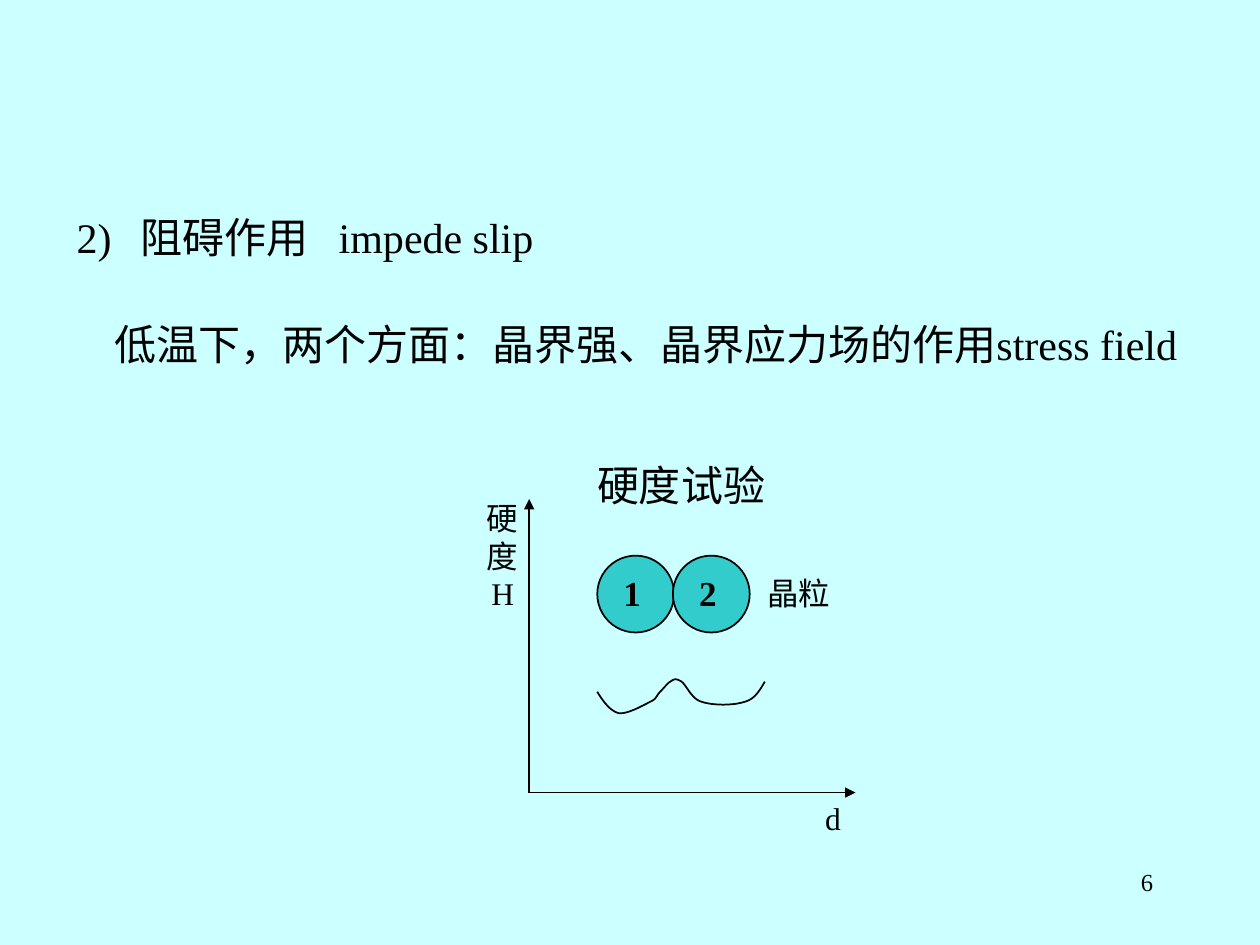
from lxml import etree
from pptx import Presentation
from pptx.dml.color import RGBColor
from pptx.enum.shapes import MSO_CONNECTOR, MSO_SHAPE
from pptx.enum.text import MSO_AUTO_SIZE, PP_ALIGN
from pptx.oxml.ns import qn
from pptx.util import Inches, Pt

LEFT, CENTER, RIGHT = PP_ALIGN.LEFT, PP_ALIGN.CENTER, PP_ALIGN.RIGHT
GROW, FIXED = MSO_AUTO_SIZE.SHAPE_TO_FIT_TEXT, MSO_AUTO_SIZE.NONE
OVAL, STRAIGHT = MSO_SHAPE.OVAL, MSO_CONNECTOR.STRAIGHT

COLORS = {"back": "CCFFFF", "ink": "000000", "grain": "33CCCC"}
FONT = "Times New Roman"
COLS, ROWS = 100, 75  # grid over the slide, cells of 0.1 inch

# Text formats
FORMATS = {
    "number": {"font": {"size": Pt(14)}, "para": {"alignment": RIGHT}},
    "body": {"font": {"size": Pt(24)},
             "para": {"line_spacing": 1.6, "space_before": Pt(15)}},
    "label": {"font": {"size": Pt(18)}, "para": {"space_before": Pt(11.2)}},
    "axis": {"font": {"size": Pt(18)},
             "para": {"space_before": Pt(11.2), "alignment": CENTER}},
    "grain": {"font": {"size": Pt(20), "bold": True},
              "para": {"space_before": Pt(12.5)}},
}

# Content: paragraphs, format, (left, top, width, height), wrap, autosize
POINTS = ["2)\t阻碍作用\timpede slip",
          "低温下，两个方面：晶界强、晶界应力场的作用stress field"]
POINT_TABS = (5.1, 20.8)   # columns after the box inset
POINT_INDENT = 3           # columns, second point
TEXTS = [
    (["6"], "number", (71.7, 68.3, 20.8, 5), True, FIXED),
    (["d"], "label", (64.5, 62.9, 5.4, 4), True, GROW),
    (["硬度H"], "axis", (37.4, 39.1, 5, 10), True, GROW),
    (["晶粒"], "label", (59.9, 45.1, 10.8, 4), True, GROW),
    (["硬度试验"], "body", (46.4, 33.6, 15.3, 7.4), False, GROW),
]
ORIGIN = (42, 62.9)
AXIS_ENDS = [(67.9, 62.9), (42, 39.6)]
GRAINS = ["1", "2"]
GRAIN_LEFT, GRAIN_TOP, GRAIN_STEP, GRAIN_SIZE = 47.4, 44.1, 6, 6.1
# Hardness curve: start, then Bezier segments (control, control, end)
CURVE_START = (60.7, 54.1)
CURVE = [
    ((60.3, 54.8), (59.9, 55.5), (59.1, 55.7)),
    ((58.2, 56), (56.6, 56), (55.7, 55.7)),
    ((54.9, 55.5), (54.5, 54.4), (54.1, 54.1)),
    ((53.6, 53.8), (53.5, 53.9), (53.2, 54.1)),
    ((53, 54.2), (52.7, 54.6), (52.4, 54.9)),
    ((52.1, 55.2), (52.1, 55.5), (51.6, 55.7)),
    ((51, 56), (49.8, 56.7), (49.1, 56.6)),
    ((48.4, 56.4), (47.9, 55.7), (47.4, 54.9)),
]
STEPS = 12

prs = Presentation()
prs.slide_width, prs.slide_height = Inches(10), Inches(7.5)
s = prs.slides.add_slide(prs.slide_layouts[6])


def color(name):
    return RGBColor.from_string(COLORS[name])


def x(col):
    return round(prs.slide_width * col / COLS)


def y(row):
    return round(prs.slide_height * row / ROWS)


def place(box):
    left, top, width, height = box
    return x(left), y(top), x(width), y(height)


def apply(target, values):
    for name, value in values.items():
        setattr(target, name, value)


def outline(sp):
    sp.line.color.rgb = color("ink")
    sp.line.width = Pt(1)


def add_text(paras, fmt, box, wrap=True, size=GROW):
    tf = s.shapes.add_textbox(*place(box)).text_frame
    apply(tf, {"word_wrap": wrap, "auto_size": size})
    for i, text in enumerate(paras):
        p = tf.add_paragraph() if i else tf.paragraphs[0]
        apply(p, FORMATS[fmt]["para"])
        r = p.add_run()
        r.text = text
        apply(r.font, {"name": FONT, **FORMATS[fmt]["font"]})
        r.font.color.rgb = color("ink")
    return tf


def bezier(a, b, c, d, t):
    u = 1 - t
    return tuple(u**3 * i + 3 * u * u * t * j + 3 * u * t * t * k + t**3 * m
                 for i, j, k, m in zip(a, b, c, d))


s.background.fill.solid()
s.background.fill.fore_color.rgb = color("back")

# Points, with tab stops and an indent for the gaps
first, second = add_text(POINTS, "body", (5.1, 13.9, 90.8, 15.9)).paragraphs
tabs = etree.SubElement(first._p.get_or_add_pPr(), qn("a:tabLst"))
for col in POINT_TABS:
    etree.SubElement(tabs, qn("a:tab"), pos=str(x(col)), algn="l")
second._p.get_or_add_pPr().set("marL", str(x(POINT_INDENT)))

# Axes
for end in AXIS_ENDS:
    axis = s.shapes.add_connector(STRAIGHT, x(ORIGIN[0]), y(ORIGIN[1]),
                                  x(end[0]), y(end[1]))
    outline(axis)
    etree.SubElement(axis.line._get_or_add_ln(), qn("a:tailEnd"), type="triangle")
    etree.SubElement(axis._element.spPr, qn("a:effectLst"))

# Grains
for i in range(len(GRAINS)):
    sp = s.shapes.add_shape(OVAL, *place((GRAIN_LEFT + i * GRAIN_STEP, GRAIN_TOP,
                                          GRAIN_SIZE, GRAIN_SIZE)))
    sp.shadow.inherit = False
    sp.fill.solid()
    sp.fill.fore_color.rgb = color("grain")
    outline(sp)
for i, text in enumerate(GRAINS):
    add_text([text], "grain", (GRAIN_LEFT + 1.1 + i * GRAIN_STEP, 44.9, 5, 4.4))

# Hardness curve
points, start = [], CURVE_START
for c1, c2, end in CURVE:
    points += [bezier(start, c1, c2, end, n / STEPS) for n in range(1, STEPS + 1)]
    start = end
builder = s.shapes.build_freeform(x(CURVE_START[0]), y(CURVE_START[1]))
builder.add_line_segments([(x(a), y(b)) for a, b in points], close=False)
curve = builder.convert_to_shape()
curve.shadow.inherit = False
curve.fill.background()
outline(curve)

# Labels and slide number
for item in TEXTS:
    add_text(*item)

prs.save("out.pptx")
